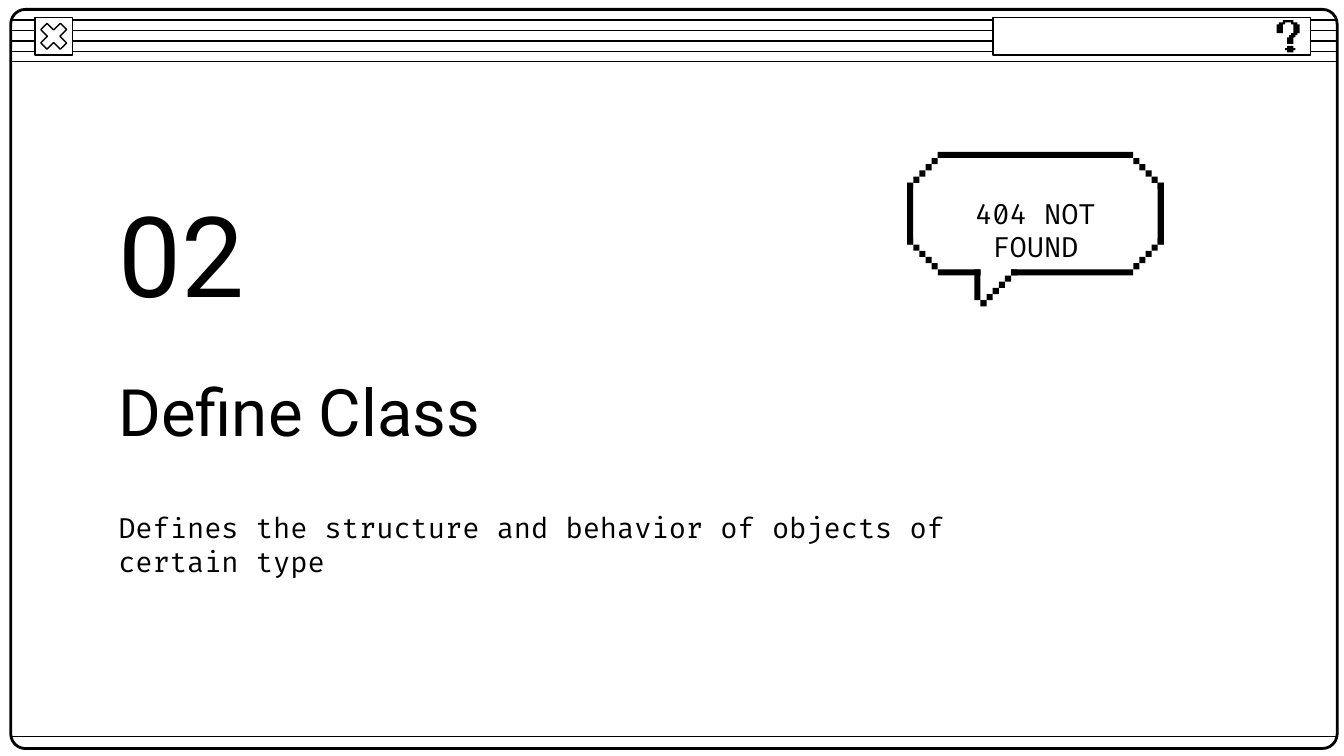
"""Build a retro window section slide with a pixel speech bubble."""
from lxml import etree
from pptx import Presentation
from pptx import util as u
from pptx.dml.color import RGBColor
from pptx.enum import shapes, text
from pptx.oxml.ns import qn

THEME = {
    "ink": RGBColor(0, 0, 0), "paper": RGBColor(255, 255, 255),
    "head": "Roboto", "mono": "Fira Code",
    "number": 60, "title": 35, "body": 15, "frame": 1.5, "rule": 0.75,
}
BOX = shapes.MSO_SHAPE.RECTANGLE

prs = Presentation()
prs.slide_width, prs.slide_height = u.Inches(10), u.Inches(10 * 9 / 16)
s = prs.slides.add_slide(prs.slide_layouts[0])


def add_box(kind, box, fill=None, line=None):
    sp = s.shapes.add_shape(kind, *map(u.Inches, box))
    sp.shadow.inherit = False
    if fill is None:
        sp.fill.background()
    else:
        sp.fill.solid()
        sp.fill.fore_color.rgb = fill
    if line is None:
        sp.line.fill.background()
    else:
        sp.line.color.rgb = THEME["ink"]
        sp.line.width = u.Pt(line)
    return sp


def set_text(sp, box, words, size, font, align, anchor):
    sp.left, sp.top, sp.width, sp.height = map(u.Inches, box)
    tf = sp.text_frame
    tf.word_wrap, tf.auto_size = True, text.MSO_AUTO_SIZE.NONE
    tf.vertical_anchor = anchor
    tf.margin_left = tf.margin_right = tf.margin_top = tf.margin_bottom = u.Inches(0.1)
    p = tf.paragraphs[0]
    p.text, p.alignment, p.space_before = words, align, u.Pt(0)
    p.font.size, p.font.name = u.Pt(size), font
    p.font.color.rgb = THEME["ink"]


left, right, bar_top, bar_step = 0.08, 9.95, 0.15, 0.31 / 4
for y in [bar_top + bar_step * i for i in range(5)] + [5.48]:
    ln = s.shapes.add_connector(shapes.MSO_CONNECTOR.STRAIGHT,
                                *map(u.Inches, (left, y, right, y)))
    ln.line.color.rgb, ln.line.width = THEME["ink"], u.Pt(THEME["rule"])
    etree.SubElement(ln._element.spPr, qn("a:effectLst"))

frame = add_box(shapes.MSO_SHAPE.ROUNDED_RECTANGLE, (left, 0.07, right - left, 5.5),
                line=THEME["frame"])
frame.adjustments[0] = 0.02

close_box = (0.26, 0.13, 0.28, 0.28)
add_box(BOX, close_box, THEME["paper"], THEME["rule"])
cross = add_box(shapes.MSO_SHAPE.MATH_MULTIPLY, close_box, THEME["paper"], THEME["rule"])
cross.adjustments[0] = 0.235
add_box(BOX, (7.39, 0.13, 2.36, 0.28), THEME["paper"], THEME["rule"])

mark_x, mark_y, mark_w, mark_h = 9.5, 0.15, 0.17 / 11, 0.24 / 15
hook = [(3, 0), (3, 1), (1, 1), (1, 2), (0, 2), (0, 6), (3, 6), (3, 2), (4, 2),
        (4, 1), (7, 1), (7, 2), (8, 2), (8, 6), (7, 6), (7, 7), (6, 7), (6, 8),
        (5, 8), (5, 11), (8, 11), (8, 8), (9, 8), (9, 7), (10, 7), (10, 6),
        (11, 6), (11, 2), (10, 2), (10, 1), (8, 1), (8, 0)]
dot = [(5, 12), (5, 13), (4, 13), (4, 14), (5, 14), (5, 15),
       (8, 15), (8, 14), (9, 14), (9, 13), (8, 13), (8, 12)]
for outline in (dot, hook):
    pts = [(u.Inches(mark_x + c * mark_w), u.Inches(mark_y + r * mark_h))
           for c, r in outline]
    fb = s.shapes.build_freeform(*pts[0])
    fb.add_line_segments(pts[1:], close=True)
    sp = fb.convert_to_shape()
    sp.shadow.inherit = False
    sp.fill.solid()
    sp.fill.fore_color.rgb = THEME["ink"]
    sp.line.fill.background()

bubble_x, bubble_y, cols, rows = 6.75, 1.13, 42, 25
cell_w, cell_h = 1.91 / cols, 1.15 / rows
cells = [(5, 0, 32, 1), (5, 19, 7, 1), (17, 19, 20, 1),
         (0, 5, 1, 10), (cols - 1, 5, 1, 10), (11, 19, 1, 5), (12, 24, 1, 1)]
for i in range(5):
    cells.append((13 + i, 23 - i, 1, 1))
    cells += [(c, r, 1, 1) for c in (i, cols - 1 - i) for r in (5 - i, 14 + i)]
for c, r, w, h in cells:
    add_box(BOX, (bubble_x + c * cell_w, bubble_y + r * cell_h, w * cell_w, h * cell_h),
            THEME["ink"])

start, center = text.PP_ALIGN.LEFT, text.PP_ALIGN.CENTER
top, middle = text.MSO_ANCHOR.TOP, text.MSO_ANCHOR.MIDDLE
title, subtitle = s.placeholders
number, speech = (s.shapes.add_textbox(0, 0, 0, 0) for _ in range(2))
margin = 0.78
set_text(title, (margin, 2.59, 5.83, 0.92), "Define Class",
         THEME["title"], THEME["head"], start, middle)
set_text(number, (margin, 1.42, 3.45, 0.92), "02",
         THEME["number"], THEME["head"], start, middle)
set_text(subtitle, (margin, 3.88, 6.47, 0.34),
         "Defines the structure and behavior of objects of certain type",
         THEME["body"], THEME["mono"], start, middle)
set_text(speech, (6.79, 1.36, 1.83, 0.45), "404 NOT FOUND",
         THEME["body"], THEME["mono"], center, top)

prs.save("out.pptx")
